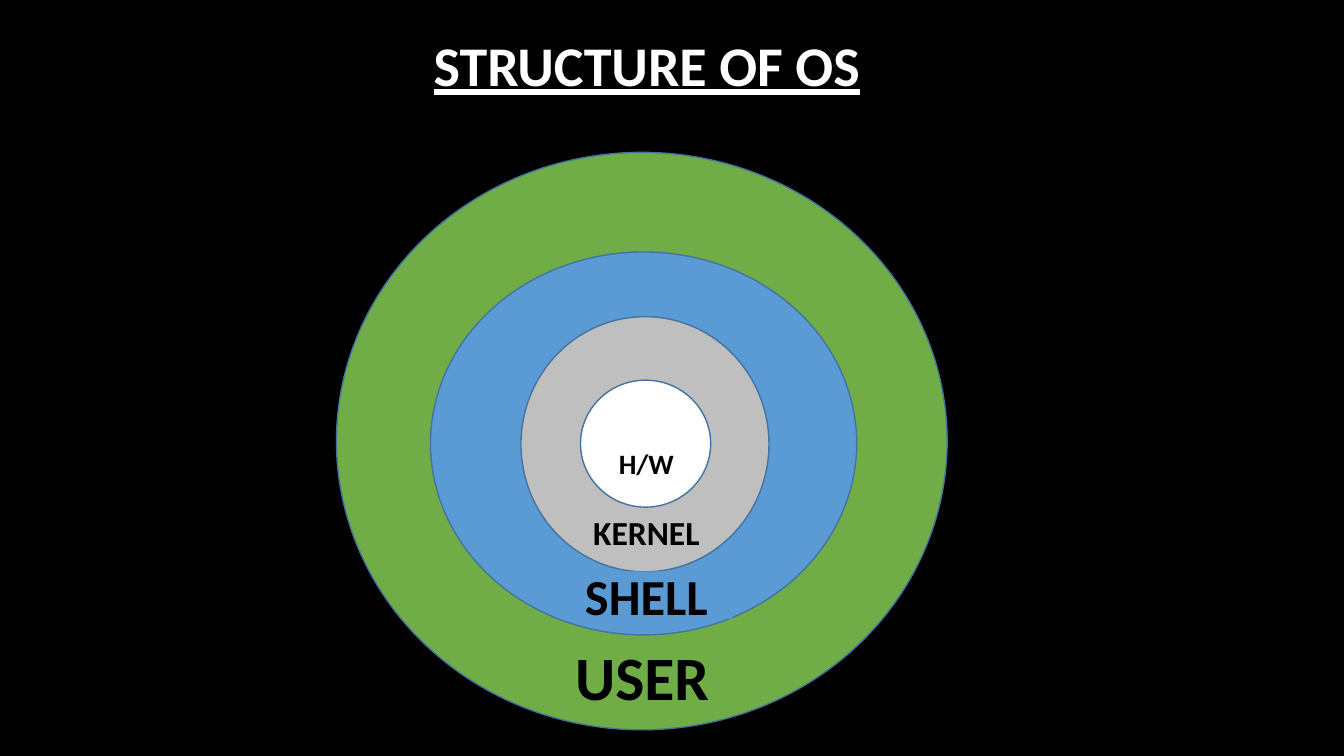
from pptx import Presentation
from pptx.dml.color import RGBColor
from pptx.enum import shapes, text
from pptx.util import Cm, Pt

COLORS = {
    "background": "000000",
    "title": "FFFFFF",
    "label": "000000",
    "outline": "43739E",
    "user": "70AD47",
    "shell": "5B9BD5",
    "kernel": "BFBFBF",
    "hardware": "FFFFFF",
}

LAYERS = [
    ("user", (8.48, 3.84, 15.39, 14.55)),
    ("shell", (10.85, 6.35, 10.74, 9.65)),
    ("kernel", (13.13, 7.98, 6.25, 6.43)),
    ("hardware", (14.63, 9.58, 3.28, 3.2)),
]


def color(name):
    return RGBColor.from_string(COLORS[name])


def set_attrs(target, values):
    for name, value in values.items():
        setattr(target, name, value)


def add_filled(s, kind, box, fill):
    sp = s.shapes.add_shape(kind, *map(Cm, box))
    sp.shadow.inherit = False
    sp.fill.solid()
    sp.fill.fore_color.rgb = color(fill)
    return sp


def add_layer(s, name, box):
    sp = add_filled(s, shapes.MSO_SHAPE.OVAL, box, name)
    sp.line.color.rgb = color("outline")
    sp.line.width = Pt(1)


def write(sp, words, size, anchor, ink="label", underline=False):
    tf = sp.text_frame
    set_attrs(tf, {"word_wrap": True, "vertical_anchor": anchor})
    p = tf.paragraphs[0]
    p.alignment = text.PP_ALIGN.CENTER
    r = p.add_run()
    r.text = words
    set_attrs(r.font, {"name": "Calibri", "size": Pt(size), "bold": True,
                       "underline": underline})
    r.font.color.rgb = color(ink)


def add_label(s, words, box, size, **style):
    sp = s.shapes.add_textbox(*map(Cm, box))
    write(sp, words, size, text.MSO_ANCHOR.TOP, **style)


def add_band_label(s, words, box, size, fill):
    sp = add_filled(s, shapes.MSO_SHAPE.RECTANGLE, box, fill)
    sp.line.fill.background()
    write(sp, words, size, text.MSO_ANCHOR.MIDDLE)


def main():
    prs = Presentation()
    set_attrs(prs, {"slide_width": Cm(33.87), "slide_height": Cm(19.05)})
    s = prs.slides.add_slide(prs.slide_layouts[6])
    s.background.fill.solid()
    s.background.fill.fore_color.rgb = color("background")

    add_label(s, "STRUCTURE OF OS", (6.43, 0.64, 19.74, 1.96), 40,
              ink="title", underline=True)
    for name, box in LAYERS:
        add_layer(s, name, box)
    add_label(s, "USER", (13.06, 15.98, 6.25, 2.13), 44)
    add_band_label(s, "SHELL", (14.12, 14.4, 4.34, 1.19), 36, "shell")
    add_label(s, "KERNEL", (14.12, 12.78, 4.34, 1.27), 24)
    add_label(s, "H/W", (15.16, 11.13, 2.26, 1.12), 20)
    prs.save("out.pptx")


if __name__ == "__main__":
    main()
